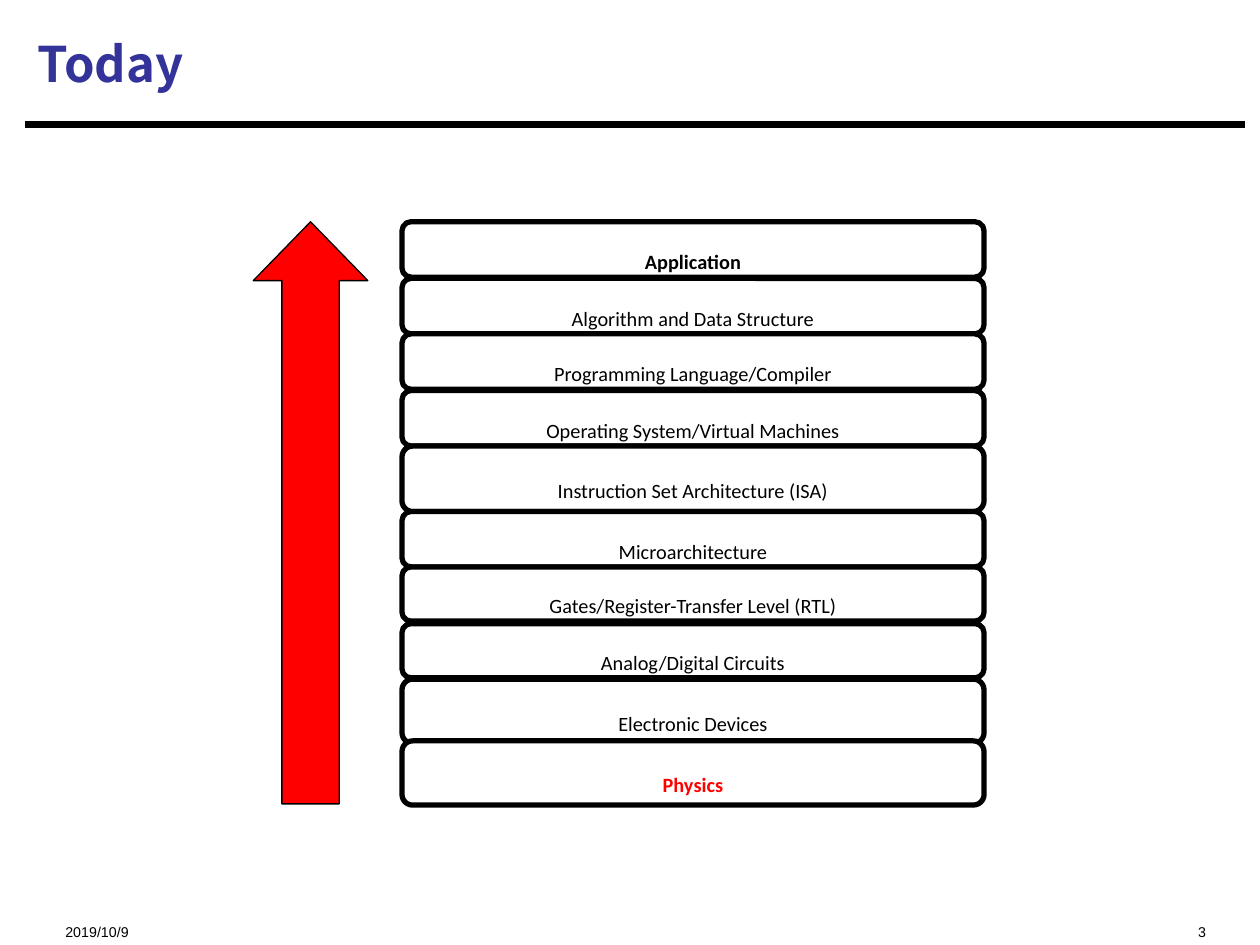
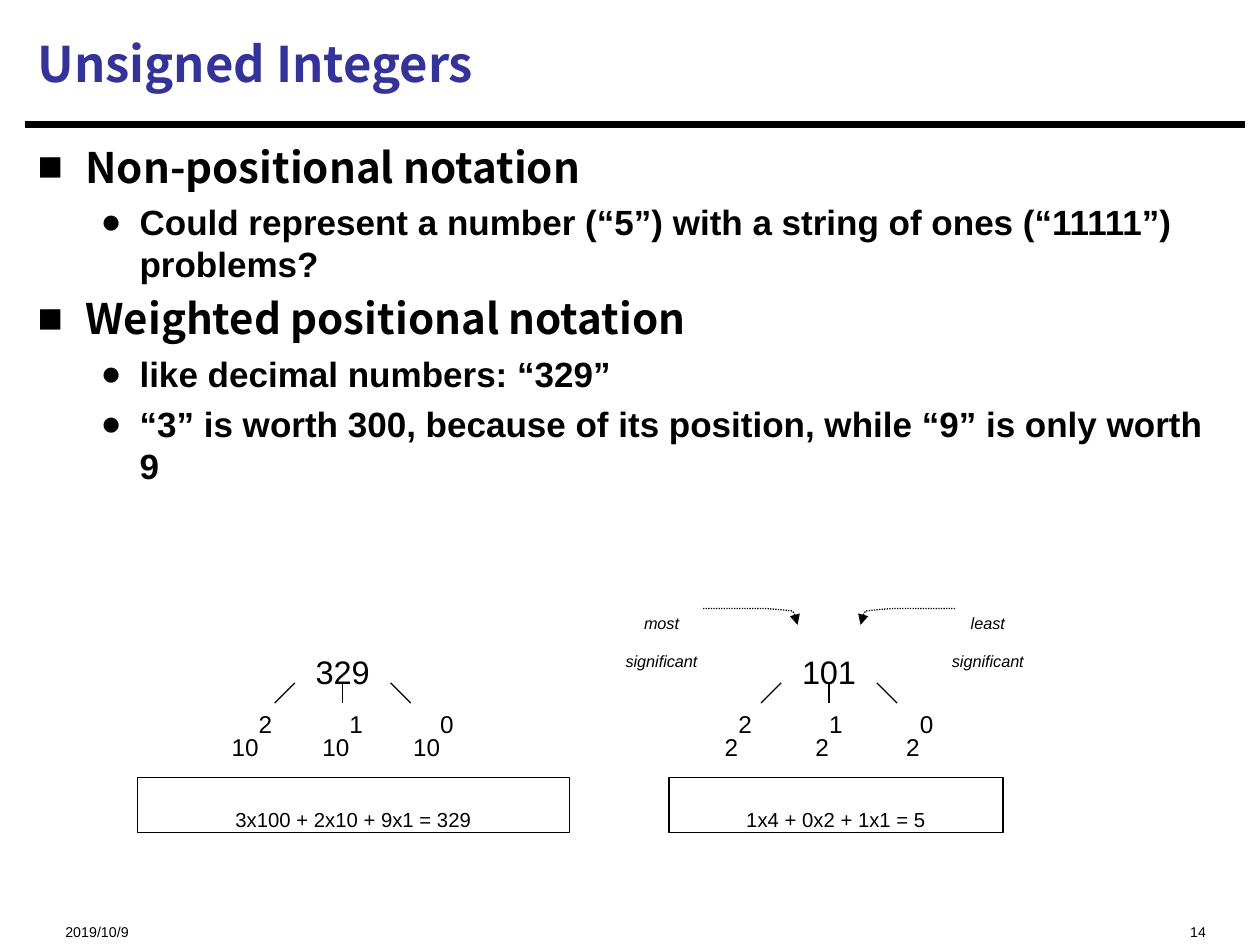
from pptx import Presentation
from pptx.dml.color import RGBColor
from pptx.enum.dml import MSO_LINE_DASH_STYLE as Dash
from pptx.enum.shapes import MSO_CONNECTOR as Conn, MSO_SHAPE as Geo
from pptx.enum.text import MSO_ANCHOR as Anchor, PP_ALIGN as Align
from pptx.oxml.ns import qn
from pptx.util import Inches, Pt
from lxml.etree import SubElement

BLACK, WHITE, RED, NAVY = "000000", "FFFFFF", "FF0000", "333399"
SANS, HEAD, BODY = "Arial", "Noto Sans CJK SC", "Calibri"
LOW, HIGH = -25, 30  # baseline shifts in percent
DATE = "2019/10/9"


def color(code):
    return RGBColor.from_string(code)


def shift(font, pct):
    font._element.set("baseline", str(pct * 1000))


class Deck:
    def __init__(self):
        self.prs = Presentation()
        self.prs.slide_width, self.prs.slide_height = Inches(10), Inches(7.5)
        self.shapes = None

    def page(self, title, number):
        """Start a slide with title, rule and footer."""
        self.shapes = self.prs.slides.add_slide(self.prs.slide_layouts[6]).shapes
        self.line(0.2, 0.99, 9.88, 0.99, 3.75)
        frame = self.box(0.2, 0.08, 9.67, 0.84, Anchor.MIDDLE)
        self.style(frame.paragraphs[0], title, 28, HEAD, NAVY, True)
        for left, width, text, align in ((0.42, 2.5, DATE, Align.LEFT),
                                         (6.67, 3, str(number), Align.RIGHT)):
            para = self.box(left, 7.15, width, 0.27).paragraphs[0]
            self.style(para, text, 14, base=LOW, align=align)

    def box(self, left, top, width, height, anchor=Anchor.TOP, wrap=True):
        area = map(Inches, (left, top, width, height))
        frame = self.shapes.add_textbox(*area).text_frame
        frame.word_wrap, frame.vertical_anchor = wrap, anchor
        return frame

    def style(self, para, text, size, face=SANS, ink=BLACK, bold=False,
              slant=False, base=0, align=Align.LEFT):
        para.text, para.alignment = text, align
        font = para.font
        font.size, font.name = Pt(size), face
        font.bold, font.italic = bold, slant
        font.color.rgb = color(ink)
        if base:
            shift(font, base)

    def label(self, mid, top, width, height, lines, size, power="", slant=False):
        """Lowered text, centred on mid, with an optional raised power."""
        frame = self.box(mid - width / 2, top, width, height, wrap=False)
        for i, text in enumerate(lines):
            para = frame.add_paragraph() if i else frame.paragraphs[0]
            self.style(para, text, size, slant=slant, base=LOW, align=Align.CENTER)
        if power:
            run = para.add_run()
            run.text = power
            shift(run.font, HIGH)

    def shape(self, geo, left, top, width, height, fill=None, edge=0.75, adj=()):
        item = self.shapes.add_shape(geo, *map(Inches, (left, top, width, height)))
        for i, value in enumerate(adj):
            item.adjustments[i] = value
        self.paint(item, fill, edge)
        item.text_frame.word_wrap = False
        return item

    def paint(self, item, fill, edge):
        item.shadow.inherit = False
        if fill:
            item.fill.solid()
            item.fill.fore_color.rgb = color(fill)
        else:
            item.fill.background()
        item.line.color.rgb, item.line.width = color(BLACK), Pt(edge)

    def line(self, x1, y1, x2, y2, width=0.75):
        ends = map(Inches, (x1, y1, x2, y2))
        item = self.shapes.add_connector(Conn.STRAIGHT, *ends)
        item.line.color.rgb, item.line.width = color(BLACK), Pt(width)
        SubElement(item._element.spPr, qn("a:effectLst"))

    def hook(self, left, top, side):
        """Dotted arrow that bends down; side is 1 to the right, -1 to the left."""
        bend = ((0.5, 0), (0.62, 0.01), (0.71, 0.02), (0.74, 0.07), (0.75, 0.13))
        path = self.shapes.build_freeform(Inches(left), Inches(top))
        path.add_line_segments([(Inches(left + side * x), Inches(top + y))
                                for x, y in bend], close=False)
        item = path.convert_to_shape()
        self.paint(item, None, 0.75)
        item.line.dash_style = Dash.ROUND_DOT
        SubElement(item.line._get_or_add_ln(), qn("a:tailEnd"), type="triangle")

    def bullets(self, rows):
        frame = self.box(0.2, 1.07, 9.67, 5.99)
        looks = ((0.38, -0.38, "■", 24, HEAD), (0.81, -0.31, "●", 20, SANS))
        for i, (level, text) in enumerate(rows):
            left, hang, mark, size, face = looks[level]
            para = frame.add_paragraph() if i else frame.paragraphs[0]
            para.level = level
            if i:
                para.space_before = Pt(5)
            props = para._p.get_or_add_pPr()
            props.set("marL", str(Inches(left)))
            props.set("indent", str(Inches(hang)))
            SubElement(props, qn("a:buFont"), typeface=SANS)
            SubElement(props, qn("a:buChar"), char=mark)
            self.style(para, text, size, face, bold=True)


def today(deck):
    deck.page("Today", 3)
    # Layers of the system
    layers = (
        ("Application", 1.76, 0.44), ("Algorithm and Data Structure", 2.21, 0.44),
        ("Programming Language/Compiler", 2.65, 0.44),
        ("Operating System/Virtual Machines", 3.1, 0.44),
        ("Instruction Set Architecture (ISA)", 3.54, 0.52),
        ("Microarchitecture", 4.06, 0.44),
        ("Gates/Register-Transfer Level (RTL)", 4.5, 0.43),
        ("Analog/Digital Circuits", 4.95, 0.43),
        ("Electronic Devices", 5.39, 0.51), ("Physics", 5.88, 0.51))
    for name, top, height in layers:
        item = deck.shape(Geo.ROUNDED_RECTANGLE, 3.19, top, 4.62, height,
                          WHITE, 3, (0.167,))
        deck.style(item.text_frame.paragraphs[0], name, 20, BODY,
                   RED if name == "Physics" else BLACK,
                   name in ("Application", "Physics"), base=LOW, align=Align.CENTER)
    # Direction of travel
    deck.shape(Geo.UP_ARROW, 2.01, 1.76, 0.91, 4.62, RED, adj=(0.5, 0.514))


def integers(deck):
    deck.page("Unsigned Integers", 14)
    deck.bullets((
        (0, "Non-positional notation"),
        (1, "Could represent a number (“5”) with a string of ones (“11111”) problems?"),
        (0, "Weighted positional notation"),
        (1, "like decimal numbers: “329”"),
        (1, "“3” is worth 300, because of its position, while “9” is only worth 9")))
    # Digits, their weights and the sum
    for mid, digits, base, total, left, width in (
            (2.72, "329", "10", "3x100 + 2x10 + 9x1 = 329", 1.09, 3.43),
            (6.58, "101", "2", "1x4 + 0x2 + 1x1 = 5", 5.31, 2.65)):
        deck.label(mid, 4.83, 0.94, 0.63, [digits], 32)
        for side, power in zip((-1, 0, 1), "210"):
            deck.label(mid + side * 0.72, 5.54, 0.7, 0.5, [base], 24, power)
            deck.line(mid + side * 0.54, 5.58, mid + side * 0.38, 5.42)
        item = deck.shape(Geo.RECTANGLE, left, 6.17, width, 0.44)
        item.text_frame.vertical_anchor = Anchor.TOP
        deck.style(item.text_frame.paragraphs[0], total, 20, base=LOW,
                   align=Align.CENTER)
    # Most and least significant digit
    for mid, word, start, side in ((5.25, "most", 5.58, 1), (7.84, "least", 7.58, -1)):
        deck.label(mid, 4.67, 1.19, 0.64, [word, "significant"], 16, slant=True)
        deck.hook(start, 4.83, side)


def main():
    deck = Deck()
    today(deck)
    integers(deck)
    deck.prs.save("out.pptx")


if __name__ == "__main__":
    main()
